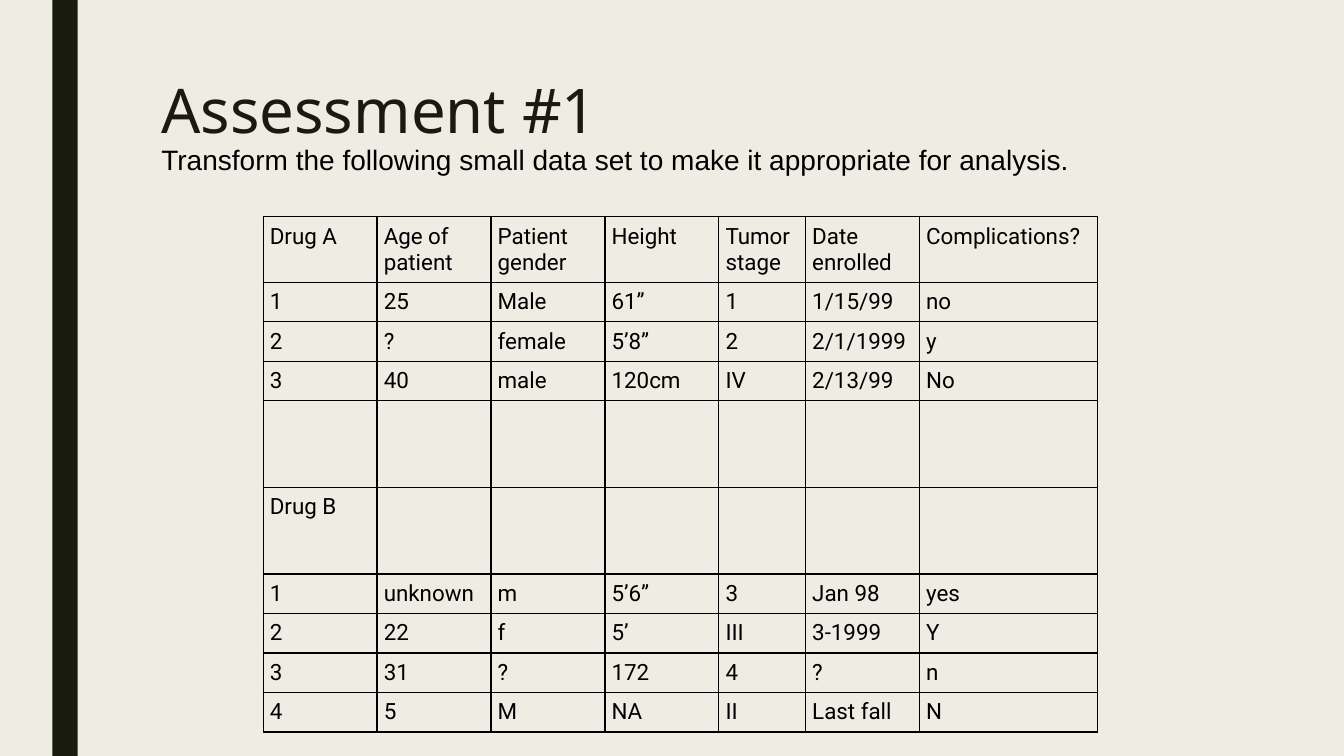
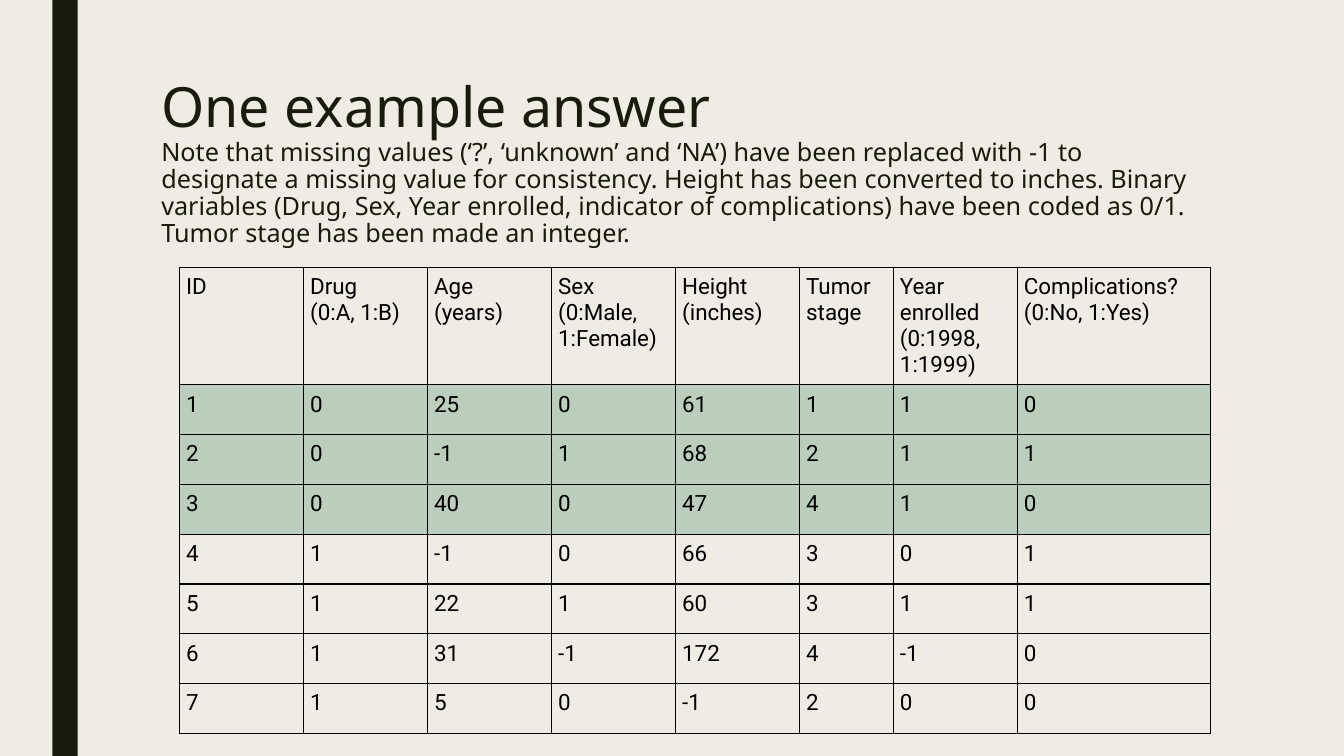
"""Build two slides on cleaning a small clinical data set."""
from pptx import Presentation
from pptx.dml.color import RGBColor
from pptx.enum.shapes import MSO_SHAPE
from pptx.enum.text import MSO_ANCHOR, MSO_AUTO_SIZE, PP_ALIGN
from pptx.oxml import parse_xml
from pptx.oxml.ns import nsdecls
from pptx.util import Inches, Pt

CREAM = RGBColor(0xEF, 0xED, 0xE3)
DARK = RGBColor(0x19, 0x1B, 0x0E)
BLACK = RGBColor(0, 0, 0)
SAGE = RGBColor(0xBB, 0xCD, 0xBB)
CELL_PAD = Inches(0.2 / 3)


def write(p, text, font="Roboto", size=16, color=BLACK):
    r = p.add_run()
    r.text = text
    r.font.name = font
    r.font.size = Pt(size)
    r.font.color.rgb = color


def add_borders(cell):
    tc_pr = cell._tc.get_or_add_tcPr()
    for i, side in enumerate(("lnL", "lnR", "lnT", "lnB")):
        ln = parse_xml(f'<a:{side} {nsdecls("a")} w="12700"><a:solidFill>'
                       f'<a:srgbClr val="{BLACK}"/></a:solidFill></a:{side}>')
        tc_pr.insert(i, ln)


raw_rows = [
    ["Drug A", "Age of patient", "Patient gender", "Height", "Tumor stage",
     "Date enrolled", "Complications?"],
    ["1", "25", "Male", "61”", "1", "1/15/99", "no"],
    ["2", "?", "female", "5’8”", "2", "2/1/1999", "y"],
    ["3", "40", "male", "120cm", "IV", "2/13/99", "No"],
    [""] * 7,
    ["Drug B"] + [""] * 6,
    ["1", "unknown", "m", "5’6”", "3", "Jan 98", "yes"],
    ["2", "22", "f", "5’", "III", "3-1999", "Y"],
    ["3", "31", "?", "172", "4", "?", "n"],
    ["4", "5", "M", "NA", "II", "Last fall", "N"],
]
clean_rows = [
    ["ID", "Drug \n(0:A, 1:B)", "Age (years)", "Sex\n(0:Male, 1:Female)",
     "Height (inches)", "Tumor stage", "Year enrolled\n(0:1998, 1:1999)",
     "Complications? (0:No, 1:Yes)"],
    ["1", "0", "25", "0", "61", "1", "1", "0"],
    ["2", "0", "-1", "1", "68", "2", "1", "1"],
    ["3", "0", "40", "0", "47", "4", "1", "0"],
    ["4", "1", "-1", "0", "66", "3", "0", "1"],
    ["5", "1", "22", "1", "60", "3", "1", "1"],
    ["6", "1", "31", "-1", "172", "4", "-1", "0"],
    ["7", "1", "5", "0", "-1", "2", "0", "0"],
]
slides = [
    dict(title="Assessment #1", title_size=44,
         note="Transform the following small data set to make it appropriate "
              "for analysis.",
         note_format=dict(font="Arial", size=20, color=BLACK),
         left=2.61, top=2.15, rows=raw_rows, shaded=(),
         widths=[1.13] * 4 + [0.86, 1.13, 1.77],
         heights=[0.57] + [0.36] * 3 + [0.86] * 2 + [0.36] * 4),
    dict(title="One example answer", title_size=39.6,
         note="Note that missing values (‘?’, ‘unknown’ and ‘NA’) have been "
              "replaced with -1 to designate a missing value for consistency. "
              "Height has been converted to inches. Binary variables (Drug, "
              "Sex, Year enrolled, indicator of complications) have been coded "
              "as 0/1. Tumor stage has been made an integer. ",
         note_format=dict(font="Noto Sans", size=18, color=DARK),
         left=1.78, top=2.65, rows=clean_rows, shaded=(1, 2, 3),
         widths=[1.23] * 5 + [0.93, 1.23, 1.92],
         heights=[1.03] + [3.46 / 7] * 7),
]

prs = Presentation()
prs.slide_width, prs.slide_height = Inches(13.33), Inches(7.5)
master = prs.slide_master
master.background.fill.solid()
master.background.fill.fore_color.rgb = CREAM
band = None

for data in slides:
    s = prs.slides.add_slide(prs.slide_layouts.get_by_name("Title Only"))
    if band is None:
        band = s.shapes.add_shape(MSO_SHAPE.RECTANGLE, Inches(0.52), 0,
                                  Inches(0.25), prs.slide_height)
        band.shadow.inherit = False
        band.fill.solid()
        band.fill.fore_color.rgb = DARK
        band.line.fill.background()
        master.shapes.element.insert(2, band.element)

    sp = s.shapes.title
    sp.left, sp.top = Inches(1.5), Inches(0.75)
    sp.width, sp.height = Inches(10.5), Inches(1.62)
    tf = sp.text_frame
    tf.word_wrap = True
    tf.auto_size = MSO_AUTO_SIZE.NONE
    tf.vertical_anchor = MSO_ANCHOR.TOP
    write(tf.paragraphs[0], data["title"], font="Noto Sans",
          size=data["title_size"], color=DARK)
    write(tf.add_paragraph(), data["note"], **data["note_format"])
    for p in tf.paragraphs:
        p.alignment = PP_ALIGN.LEFT
        p.line_spacing = 0.89

    rows, widths, heights = data["rows"], data["widths"], data["heights"]
    table = s.shapes.add_table(
        len(rows), len(widths), Inches(data["left"]), Inches(data["top"]),
        Inches(sum(widths)), Inches(sum(heights))).table
    table.first_row = table.horz_banding = False
    for column, width in zip(table.columns, widths):
        column.width = Inches(width)
    for i, (row, height) in enumerate(zip(rows, heights)):
        table.rows[i].height = Inches(height)
        for j, text in enumerate(row):
            cell = table.cell(i, j)
            cell.margin_left = cell.margin_right = CELL_PAD
            cell.margin_top = cell.margin_bottom = CELL_PAD
            if i in data["shaded"]:
                cell.fill.solid()
                cell.fill.fore_color.rgb = SAGE
            else:
                cell.fill.background()
            add_borders(cell)
            tf = cell.text_frame
            for k, line in enumerate(text.split("\n") if text else []):
                write(tf.add_paragraph() if k else tf.paragraphs[0], line)

prs.save("out.pptx")
